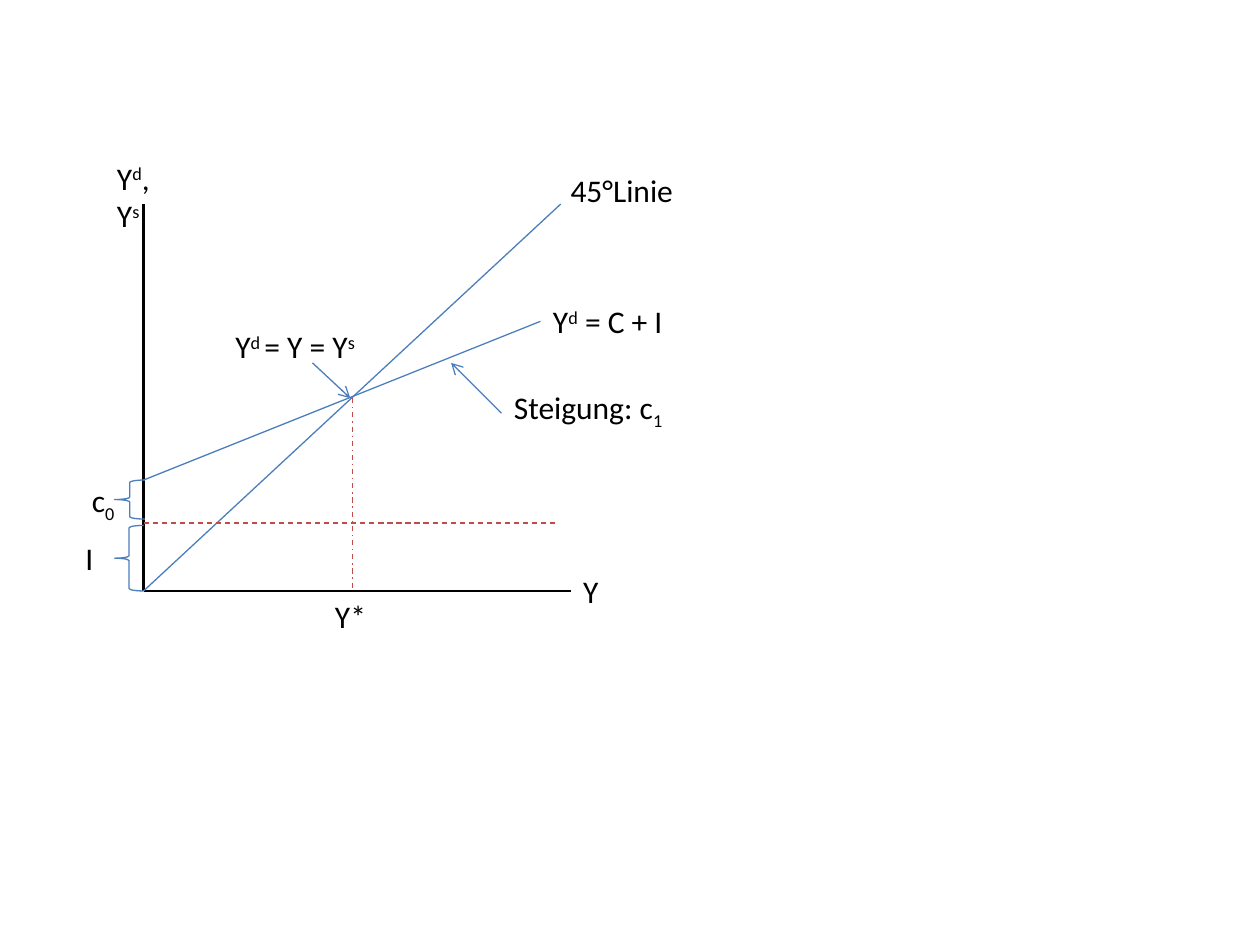
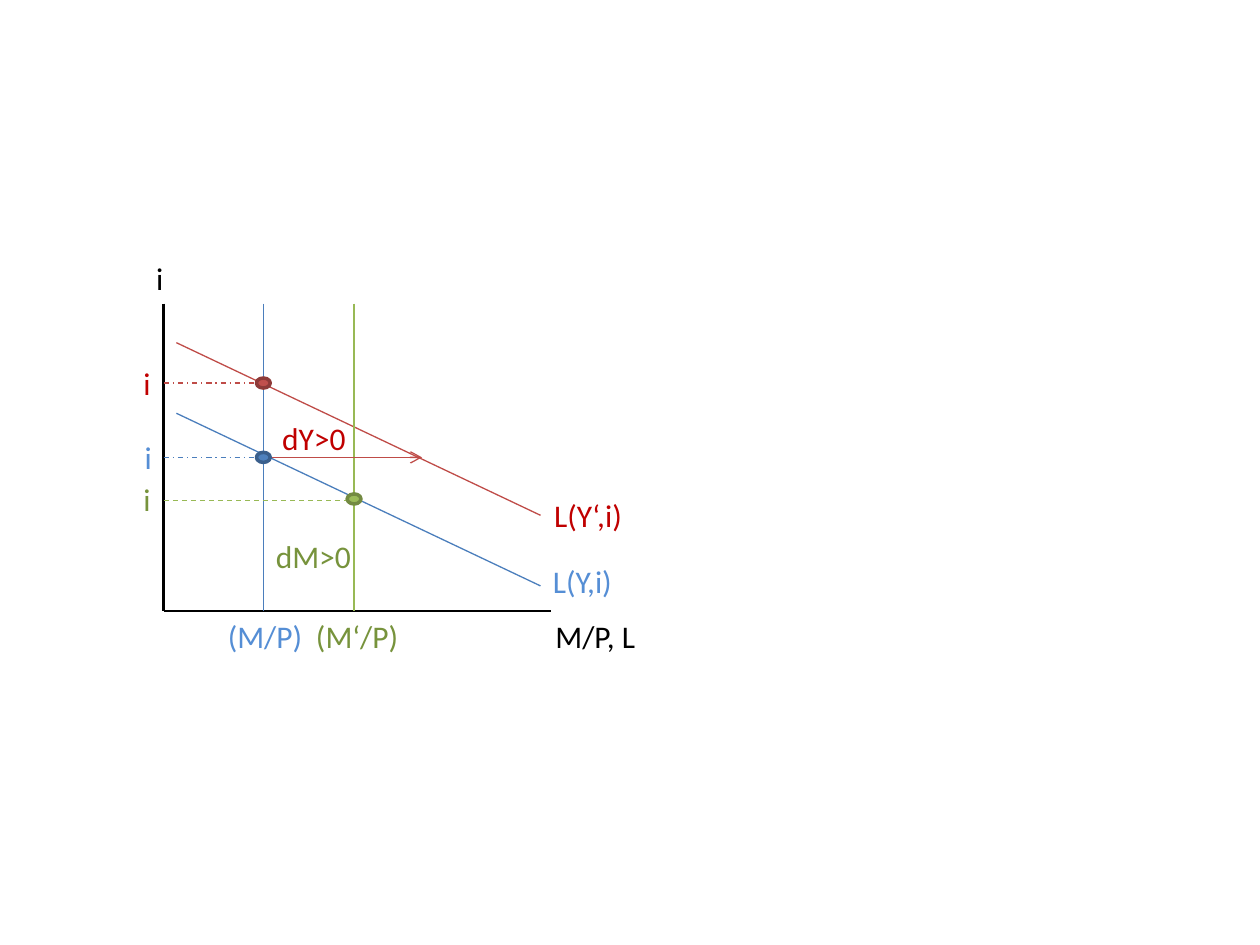
import pptx
import pptx.util
import pptx.dml.color
import pptx.enum.dml
import pptx.enum.shapes
import pptx.enum.text
import pptx.oxml
import lxml.etree

Inches, Pt = pptx.util.Inches, pptx.util.Pt
Shape = pptx.enum.shapes.MSO_SHAPE
Dash = pptx.enum.dml.MSO_LINE

THEME = {
    "font": "Calibri", "size": 18, "row": 0.4,
    "thin": 0.75, "axis": 1.5, "ring": 2, "dot": (0.11, 0.08),
    "black": "000000",
    # line, text, fill and ring tones of each curve colour
    "blue": {"line": "4B7EBC", "text": "558ED5", "fill": "4F81BD", "ring": "3A5F8C"},
    "red": {"line": "BF4C48", "text": "C00000", "fill": "C0504D", "ring": "8E3B39"},
    "green": {"line": "98B955", "text": "77933C", "fill": "9BBB59", "ring": "738A42"},
}
SHIFT = {"up": 30000, "down": -25000}
DASH = {"dash": Dash.DASH, "dot": Dash.DASH_DOT}

# Goods market: origin, axis ends, equilibrium and intercepts
X0, Y0, TOP, RIGHT = 1.14, 4.69, 1.62, 4.53
EQ_X, EQ_Y, C_Y, I_Y = 2.8, 3.16, 3.81, 4.15

# Money market: origin, axis ends, both money stocks and three rates
MX, MY, M_TOP, M_RIGHT = 1.3, 4.85, 2.41, 4.37
OLD, NEW = 2.09, 2.81
HIGH, MID, LOW = 3.04, 3.63, 3.97
L_X, L_END, L_DROP = 1.4, 4.29, 1.37

# axes: origin x, origin y, top, right
# lines: from, to, colour, style
# braces: left, top, width, height
# dots: centre, colour
# labels: left, top, width, colour, runs (text, shift)
GRAPHS = [
    {
        "axes": (X0, Y0, TOP, RIGHT),
        "lines": [
            ((X0, C_Y), (4.29, 2.55), "blue", ""),
            ((X0, Y0), (4.45, TOP), "blue", ""),
            ((X0, I_Y), (4.43, I_Y), "red", "dash"),
            ((2.48, 2.88), (2.78, EQ_Y), "blue", "arrow"),
            ((3.98, 3.28), (3.58, 2.88), "blue", "arrow"),
            ((EQ_X, EQ_Y), (EQ_X, Y0), "red", "dot"),
        ],
        "braces": [(0.91, C_Y, 0.24, 0.31), (0.91, 4.17, 0.23, 0.52)],
        "dots": [],
        "labels": [
            (4.43, 1.31, 1.03, "black", [("45°Linie", "")]),
            (4.29, 2.35, 1.08, "black", [("Y", ""), ("d", "up"), (" = C + I", "")]),
            (0.63, 3.77, 0.39, "black", [("c", ""), ("0", "down")]),
            (0.83, 1.21, 0.69, "black",
             [("Y", ""), ("d", "up"), (", Y", ""), ("s", "up")]),
            (RIGHT, 4.49, 0.32, "black", [("Y", "")]),
            (0.58, 4.23, 0.27, "black", [("I", "")]),
            (1.77, 2.55, 1.16, "black",
             [("Y", ""), ("d ", "up"), ("= Y = Y", ""), ("s", "up")]),
            (3.98, 3.03, 1.41, "black", [("Steigung: c", ""), ("1", "down")]),
            (2.56, Y0, 0.45, "black", [("Y*", "")]),
        ],
    },
    {
        "axes": (MX, MY, M_TOP, M_RIGHT),
        "lines": [
            ((OLD, M_TOP), (OLD, MY), "blue", ""),
            ((L_X, 3.28), (L_END, 3.28 + L_DROP), "blue", ""),
            ((L_X, 2.72), (L_END, 2.72 + L_DROP), "red", ""),
            ((NEW, M_TOP), (NEW, MY), "green", ""),
            ((OLD, MID), (3.35, MID), "red", "arrow"),
            ((MX, MID), (2.03, MID), "blue", "dot"),
            ((MX, HIGH), (2.03, HIGH), "red", "dot"),
            ((MX, LOW), (NEW, LOW), "green", "dash"),
        ],
        "braces": [],
        "dots": [(OLD, MID, "blue"), (OLD, HIGH, "red"), (NEW, LOW - 0.01, "green")],
        "labels": [
            (4.31, MY, 0.84, "black", [("M/P, L", "")]),
            (1.14, 2.01, 0.26, "black", [("i", "")]),
            (L_END, 4.41, 0.68, "blue", [("L(Y,i)", "")]),
            (4.3, 3.89, 0.75, "red", [("L(Y‘,i)", "")]),
            (1.71, MY, 0.8, "blue", [("(M/P)", "")]),
            (2.41, MY, 0.86, "green", [("(M‘/P)", "")]),
            (2.14, 3.28, 0.71, "red", [("dY>0", "")]),
            (2.09, 4.21, 0.81, "green", [("dM>0", "")]),
            (1.05, MID - 0.2, 0.26, "blue", [("i", "")]),
            (1.04, HIGH - 0.2, 0.26, "red", [("i", "")]),
            (1.04, LOW - 0.21, 0.26, "green", [("i", "")]),
        ],
    },
]


def tone(name, use):
    """Return the colour a named tone has for one use."""
    pick = THEME[name]
    return pptx.dml.color.RGBColor.from_string(pick if name == "black" else pick[use])


def ink(line, name, use, width):
    """Set the colour and width of a line."""
    line.color.rgb = tone(name, use)
    line.width = Pt(width)


def draw_line(slide, start, end, name, style="", width=THEME["thin"]):
    """Draw a straight line, dashed or with an arrowhead if asked."""
    kind = pptx.enum.shapes.MSO_CONNECTOR.STRAIGHT
    link = slide.shapes.add_connector(kind, *map(Inches, start + end))
    ink(link.line, name, "line", width)
    if style in DASH:
        link.line.dash_style = DASH[style]
    if style == "arrow":
        tag = pptx.oxml.ns.qn("a:tailEnd")
        lxml.etree.SubElement(link.line._get_or_add_ln(), tag, type="arrow")
    lxml.etree.SubElement(link._element.spPr, pptx.oxml.ns.qn("a:effectLst"))


def draw_axes(slide, left, base, top, right):
    """Draw both axes from the origin."""
    for start, end in (((left, top), (left, base)), ((left, base), (right, base))):
        draw_line(slide, start, end, "black", width=THEME["axis"])


def draw_brace(slide, *box):
    """Draw an open brace beside the vertical axis."""
    brace = slide.shapes.add_shape(Shape.LEFT_BRACE, *map(Inches, box))
    brace.shadow.inherit = False
    brace.fill.background()
    ink(brace.line, "blue", "line", THEME["thin"])


def draw_dot(slide, x, y, name):
    """Mark an equilibrium, centred on its point."""
    wide, high = THEME["dot"]
    box = (x - wide / 2, y - high / 2, wide, high)
    dot = slide.shapes.add_shape(Shape.OVAL, *map(Inches, box))
    dot.shadow.inherit = False
    dot.fill.solid()
    dot.fill.fore_color.rgb = tone(name, "fill")
    ink(dot.line, name, "ring", THEME["ring"])


def add_label(slide, left, top, width, name, runs):
    """Write a label run by run, raised or lowered where marked."""
    box = slide.shapes.add_textbox(*map(Inches, (left, top, width, THEME["row"])))
    frame = box.text_frame
    frame.word_wrap = False
    frame.auto_size = pptx.enum.text.MSO_AUTO_SIZE.SHAPE_TO_FIT_TEXT
    for text, shift in runs:
        run = frame.paragraphs[0].add_run()
        run.text = text
        run.font.name = THEME["font"]
        run.font.size = Pt(THEME["size"])
        run.font.color.rgb = tone(name, "text")
        if shift:
            run._r.get_or_add_rPr().set("baseline", str(SHIFT[shift]))


def build():
    """Build one slide for each graph and save the deck."""
    deck = pptx.Presentation()
    deck.slide_width, deck.slide_height = Inches(10), Inches(7.5)
    for graph in GRAPHS:
        slide = deck.slides.add_slide(deck.slide_layouts[6])
        draw_axes(slide, *graph["axes"])
        for key, draw in (("lines", draw_line), ("braces", draw_brace),
                          ("dots", draw_dot), ("labels", add_label)):
            for item in graph[key]:
                draw(slide, *item)
    deck.save("out.pptx")


build()
